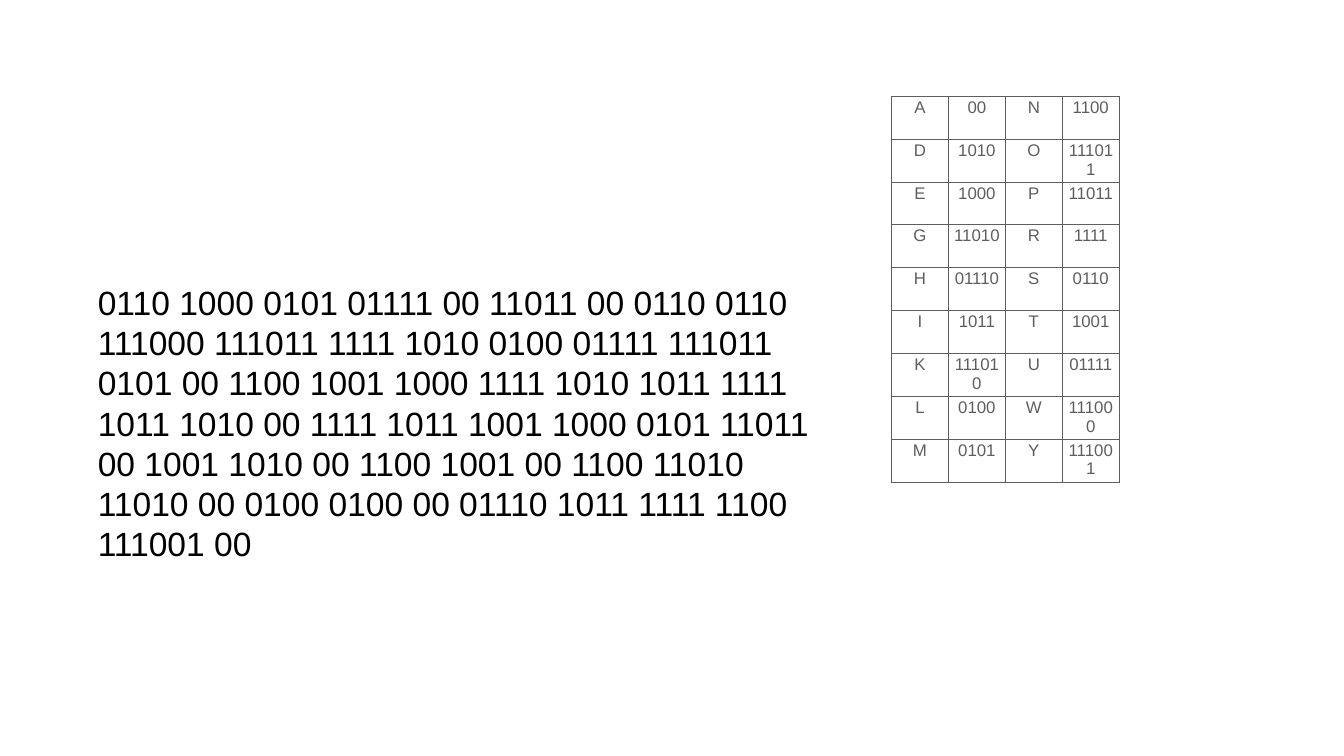
import pptx
import pptx.util
import pptx.dml.color
import pptx.enum.text
import pptx.oxml.ns
import lxml.etree

Inch, Pt = pptx.util.Inches, pptx.util.Pt
Enum = pptx.enum.text

# Content
CODE = (
    "0110 1000 0101 01111 00 11011 00 0110 0110 "
    "111000 111011 1111 1010 0100 01111 111011 "
    "0101 00 1100 1001 1000 1111 1010 1011 1111 "
    "1011 1010 00 1111 1011 1001 1000 0101 11011 "
    "00 1001 1010 00 1100 1001 00 1100 11010 "
    "11010 00 0100 0100 00 01110 1011 1111 1100 "
    "111001 00"
)
KEY = [
    ("A", "00", "N", "1100"),
    ("D", "1010", "O", "111011"),
    ("E", "1000", "P", "11011"),
    ("G", "11010", "R", "1111"),
    ("H", "01110", "S", "0110"),
    ("I", "1011", "T", "1001"),
    ("K", "111010", "U", "01111"),
    ("L", "0100", "W", "111000"),
    ("M", "0101", "Y", "111001"),
]
GRAY, BLACK = "5E5E5E", "000000"
WIDE, HIGH = 26.67, 15
COL, ROW = 1.13, 0.85
PAD = 0.06


def color(code):
    return pptx.dml.color.RGBColor.from_string(code)


def style(para, size, code):
    for run in para.runs:
        run.font.name = "Arial"
        run.font.size = Pt(size)
        run.font.color.rgb = color(code)


def border(cell, code, width):
    props = cell._tc.get_or_add_tcPr()
    name = pptx.oxml.ns.qn
    for i, side in enumerate(("a:lnL", "a:lnR", "a:lnT", "a:lnB")):
        line = lxml.etree.Element(name(side), w=str(Pt(width)))
        fill = lxml.etree.SubElement(line, name("a:solidFill"))
        lxml.etree.SubElement(fill, name("a:srgbClr"), val=code)
        props.insert(i, line)


def add_key(slide):
    rows, cols = len(KEY), len(KEY[0])
    table = slide.shapes.add_table(
        rows, cols, Inch(17.69), Inch(1.91), Inch(cols * COL), Inch(rows * ROW)
    ).table
    table.first_row = table.horz_banding = False
    for col in table.columns:
        col.width = Inch(COL)
    for row, texts in zip(table.rows, KEY):
        row.height = Inch(ROW)
        for cell, text in zip(row.cells, texts):
            cell.text_frame.text = text
            cell.margin_left = cell.margin_right = Inch(PAD)
            cell.margin_top = cell.margin_bottom = Inch(0.04)
            cell.fill.background()
            border(cell, GRAY, 1)
            para = cell.text_frame.paragraphs[0]
            para.alignment = Enum.PP_ALIGN.CENTER
            style(para, 24, GRAY)


def add_code(slide):
    box = slide.shapes.add_textbox(Inch(1.88), Inch(5.5), Inch(14.51), Inch(5.77))
    frame = box.text_frame
    frame.text = CODE
    frame.word_wrap = True
    frame.auto_size = Enum.MSO_AUTO_SIZE.SHAPE_TO_FIT_TEXT
    frame.vertical_anchor = Enum.MSO_ANCHOR.MIDDLE
    frame.margin_left = frame.margin_right = Inch(PAD)
    frame.margin_top = frame.margin_bottom = Inch(PAD)
    para = frame.paragraphs[0]
    para.alignment = Enum.PP_ALIGN.LEFT
    para.line_spacing = Pt(57.6)
    style(para, 48, BLACK)


def main():
    deck = pptx.Presentation()
    deck.slide_width, deck.slide_height = Inch(WIDE), Inch(HIGH)
    slide = deck.slides.add_slide(deck.slide_layouts[6])
    # Letter key at the right, coded message at the left
    add_key(slide)
    add_code(slide)
    deck.save("out.pptx")


if __name__ == "__main__":
    main()
